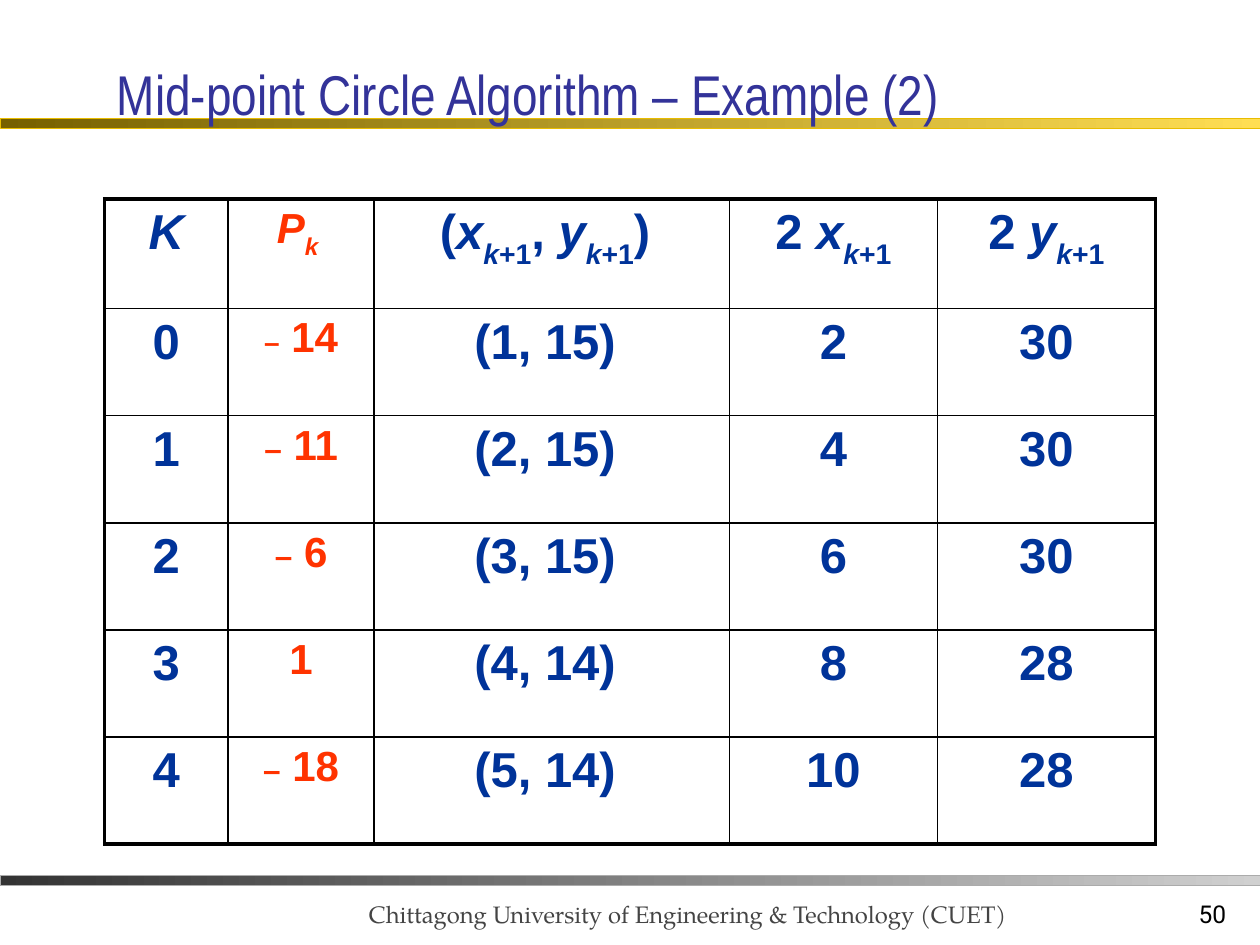
from lxml.etree import SubElement
from pptx import Presentation
from pptx.dml.color import RGBColor
from pptx.enum.shapes import MSO_SHAPE
from pptx.enum.text import MSO_ANCHOR, MSO_AUTO_SIZE, PP_ALIGN
from pptx.oxml.ns import qn
from pptx.util import Inches, Pt

BLACK = RGBColor(0x00, 0x00, 0x00)
BLUE = RGBColor(0x00, 0x33, 0x99)
RED = RGBColor(0xFF, 0x33, 0x00)
INDIGO = RGBColor(0x33, 0x33, 0x99)
SLATE = RGBColor(0x44, 0x44, 0x44)
CHARCOAL = RGBColor(0x33, 0x33, 0x33)
SILVER = RGBColor(0xD0, 0xD0, 0xD0)
GRAY = RGBColor(0xAB, 0xAB, 0xAB)
BRONZE = RGBColor(0x76, 0x60, 0x00)
YELLOW = RGBColor(0xFF, 0xDE, 0x53)
GOLD = RGBColor(0xE8, 0xBC, 0x00)

COLUMN_WIDTHS = [0.98, 1.16, 2.82, 1.65, 1.73]
ROW_HEIGHTS = [0.87] + [0.85] * 5
STEPS = [
    (0, -14, "(1, 15) ", 2, 30),
    (1, -11, "(2, 15) ", 4, 30),
    (2, -6, "(3, 15) ", 6, 30),
    (3, 1, "(4, 14) ", 8, 28),
    (4, -18, "(5, 14) ", 10, 28),
]


def add_span(para, text, color, size, font="Arial", subscript=False, **styles):
    span = para.add_run()
    span.text = text
    span.font.color.rgb = color
    formats = {"name": font, "size": Pt(size), **styles}
    for name, value in formats.items():
        setattr(span.font, name, value)
    if subscript:
        span._r.get_or_add_rPr().set("baseline", "-30000")


def add_text(page, position, text, color, size, font,
             anchor=MSO_ANCHOR.TOP, align=PP_ALIGN.LEFT, grow=False):
    box = page.shapes.add_textbox(*map(Inches, position))
    frame = box.text_frame
    formats = {
        "word_wrap": True,
        "vertical_anchor": anchor,
        "auto_size": MSO_AUTO_SIZE.SHAPE_TO_FIT_TEXT if grow else MSO_AUTO_SIZE.NONE,
    }
    for name, value in formats.items():
        setattr(frame, name, value)
    para = frame.paragraphs[0]
    para.alignment = align
    add_span(para, text, color, size, font)


def add_bar(page, top, start, end, outline):
    bar = page.shapes.add_shape(
        MSO_SHAPE.RECTANGLE, 0, Inches(top), Inches(10), Inches(0.08))
    bar.shadow.inherit = False
    bar.fill.gradient()
    bar.fill.gradient_angle = 0
    for stop, color in zip(bar.fill.gradient_stops, (start, end)):
        stop.color.rgb = color
    bar.line.color.rgb = outline
    bar.line.width = Pt(0.25)


def set_borders(cell, outer_sides):
    properties = cell._tc.get_or_add_tcPr()
    for side in "LRTB":
        width = Pt(2.25 if side in outer_sides else 1)
        line = SubElement(properties, qn(f"a:ln{side}"), w=str(width))
        fill = SubElement(line, qn("a:solidFill"))
        SubElement(fill, qn("a:srgbClr"), val=str(BLACK))


def fill_cell(cell, spans):
    para = cell.text_frame.paragraphs[0]
    para.alignment = PP_ALIGN.CENTER
    spacing = SubElement(para._p.get_or_add_pPr(), qn("a:spcBef"))
    SubElement(spacing, qn("a:spcPct"), val="20000")
    for text, formats in spans:
        add_span(para, text, **{"color": BLUE, "size": 28, "bold": True, **formats})


def next_value(letter):
    return [
        (letter, {"italic": True}),
        ("k", {"italic": True, "subscript": True}),
        ("+1", {"subscript": True}),
    ]


def header_cells():
    parameter = {"color": RED, "size": 24, "italic": True}
    return [
        [("K", {"italic": True})],
        [("P", parameter), ("k ", {**parameter, "subscript": True})],
        [("(", {}), *next_value("x"), (", ", {}), *next_value("y"), (") ", {})],
        [("2 ", {}), *next_value("x")],
        [("2 ", {}), *next_value("y")],
    ]


def parameter_spans(value, dash_size):
    digits = {"color": RED, "size": 24}
    if value >= 0:
        return [(str(value), digits)]
    return [("–", {"color": RED, "size": dash_size}), (f" {-value}", digits)]


def step_cells(step):
    cells = [[(str(value), {})] for value in step]
    cells[1] = parameter_spans(step[1], dash_size=16 if step[0] == 0 else 18)
    return cells


def add_steps_table(page):
    rows = [header_cells()] + [step_cells(step) for step in STEPS]
    last_row, last_column = len(rows) - 1, len(COLUMN_WIDTHS) - 1
    table = page.shapes.add_table(
        len(rows), len(COLUMN_WIDTHS), Inches(0.83), Inches(1.58),
        Inches(sum(COLUMN_WIDTHS)), Inches(sum(ROW_HEIGHTS))).table
    table.first_row = False
    table.horz_banding = False
    for column, width in zip(table.columns, COLUMN_WIDTHS):
        column.width = Inches(width)
    for row, height in zip(table.rows, ROW_HEIGHTS):
        row.height = Inches(height)
    for r, row in enumerate(rows):
        for c, spans in enumerate(row):
            cell = table.cell(r, c)
            edges = {"L": c == 0, "R": c == last_column,
                     "T": r == 0, "B": r == last_row}
            set_borders(cell, [side for side, outer in edges.items() if outer])
            cell.fill.background()
            fill_cell(cell, spans)


def main():
    deck = Presentation()
    deck.slide_width, deck.slide_height = Inches(10), Inches(7.5)
    page = deck.slides.add_slide(deck.slide_layouts[6])
    add_text(page, (7.75, 6.92, 2.08, 0.5), "50", BLACK, 14, "Roboto",
             MSO_ANCHOR.BOTTOM, PP_ALIGN.RIGHT)
    add_text(page, (2.83, 6.8, 5.42, 0.62),
             "Chittagong University of Engineering & Technology (CUET)",
             SLATE, 13.6, "TeX Gyre Pagella", MSO_ANCHOR.BOTTOM)
    add_bar(page, 6.95, CHARCOAL, SILVER, GRAY)
    add_bar(page, 0.94, BRONZE, YELLOW, GOLD)
    add_steps_table(page)
    add_text(page, (0.83, 0.42, 8.33, 0.63),
             "Mid-point Circle Algorithm – Example (2)",
             INDIGO, 32, "Arial Narrow", grow=True)
    deck.save("out.pptx")


if __name__ == "__main__":
    main()
